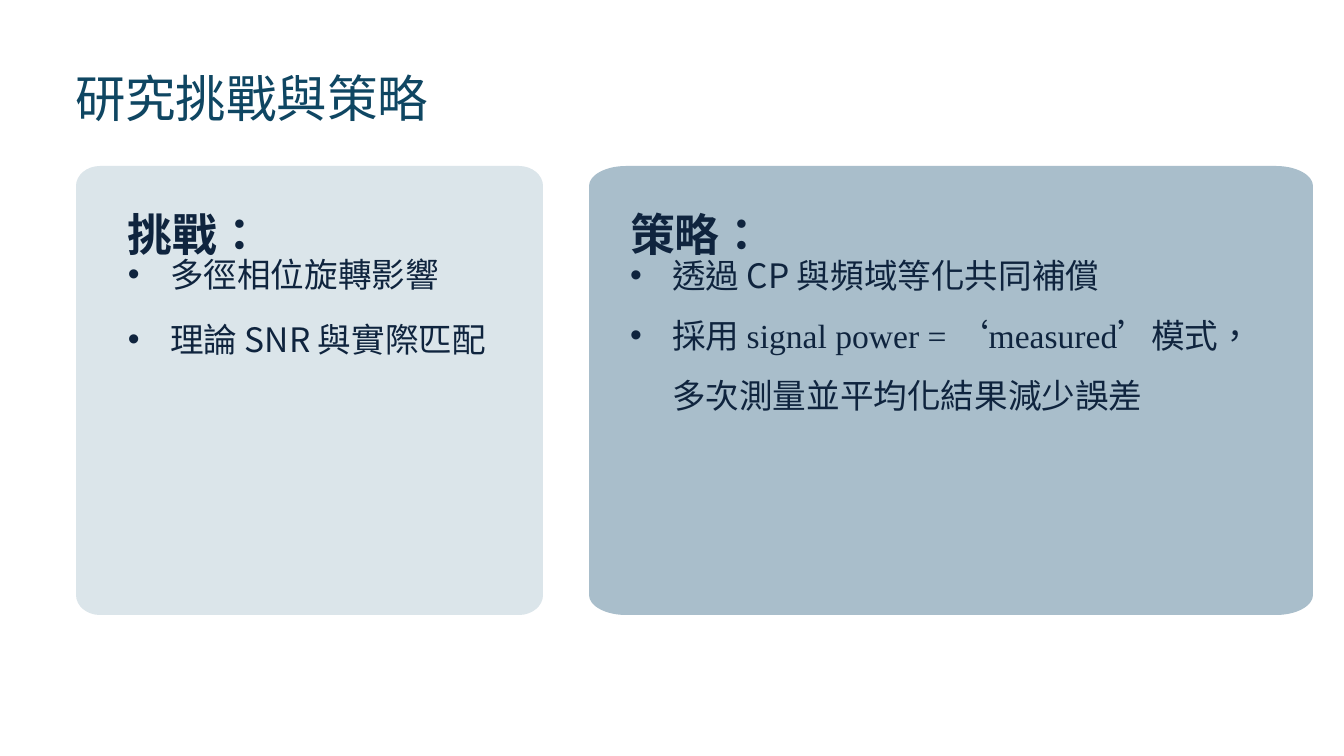
from lxml.etree import SubElement
from pptx import Presentation
from pptx.dml.color import RGBColor
from pptx.enum.text import MSO_ANCHOR, MSO_AUTO_SIZE, PP_ALIGN
from pptx.oxml.ns import qn
from pptx.util import Emu, Pt

PX_PER_INCH = 67.2
SANS, SERIF = "Noto Sans CJK SC", "Times New Roman"
NAVY, TEAL = "0F243E", "0F4662"
CARD_TOP, CARD_HEIGHT, CORNER_HEIGHT = 166, 449, 20
ARC = 0.55


def px(n):
    return Emu(round(n * 914400 / PX_PER_INCH))


def rgb(value):
    return RGBColor.from_string(value)


def round_corner(line, start, corner, end):
    """Turn a straight path segment into a curve around a corner."""
    line.tag = qn("a:cubicBezTo")
    controls = [tuple(a + ARC * (c - a) for a, c in zip(point, corner))
                for point in (start, end)]
    for i, (x, y) in enumerate(controls):
        pt = SubElement(line, qn("a:pt"))
        pt.set("x", str(px(x)))
        pt.set("y", str(px(y)))
        line.insert(i, pt)


def add_card(s, left, width, corner_width, fill):
    """Draw a card with elliptical corners."""
    height = CARD_HEIGHT
    x1, y1 = width - corner_width, height - CORNER_HEIGHT
    points = [(corner_width, 0), (x1, 0), (width, CORNER_HEIGHT), (width, y1),
              (x1, height), (corner_width, height), (0, y1),
              (0, CORNER_HEIGHT), (corner_width, 0)]
    corners = [(width, 0), (width, height), (0, height), (0, 0)]
    outline = [(px(x), px(y)) for x, y in points]
    builder = s.shapes.build_freeform(*outline[0])
    builder.add_line_segments(outline[1:], close=True)
    sp = builder.convert_to_shape(px(left), px(CARD_TOP))
    lines = list(sp.element.iter(qn("a:lnTo")))
    for i, corner in enumerate(corners):
        k = 2 * i + 1
        round_corner(lines[k], points[k], corner, points[k + 1])
    sp.shadow.inherit = False
    sp.fill.solid()
    sp.fill.fore_color.rgb = rgb(fill)
    sp.line.fill.background()
    return sp


def add_bullet(p, indent=42):
    pPr = p._p.get_or_add_pPr()
    pPr.set("marL", str(px(indent)))
    pPr.set("indent", str(-px(indent)))
    SubElement(pPr, qn("a:buFont")).set("typeface", "Arial")
    SubElement(pPr, qn("a:buChar")).set("char", "•")


def add_run(p, text, font, size, color, bold):
    r = p.add_run()
    r.text = text
    r.font.size, r.font.bold, r.font.name = Pt(size), bold, font
    r.font.color.rgb = rgb(color)
    rPr = r._r.get_or_add_rPr()
    rPr.set("lang", "zh-TW")
    SubElement(rPr, qn("a:ea")).set("typeface", SANS)


def set_text(sp, paragraphs, box, size=36, color=NAVY, bold=False,
             line=65, bullet=False):
    """Fill a placeholder; each paragraph is a list of (text, font) runs."""
    sp.left, sp.top, sp.width, sp.height = map(px, box)
    tf = sp.text_frame
    tf.word_wrap = True
    tf.auto_size = MSO_AUTO_SIZE.NONE
    tf.vertical_anchor = MSO_ANCHOR.TOP
    tf.margin_left = tf.margin_top = tf.margin_right = tf.margin_bottom = 0
    for i, runs in enumerate(paragraphs):
        p = tf.add_paragraph() if i else tf.paragraphs[0]
        p.alignment = PP_ALIGN.LEFT
        p.line_spacing = Pt(round(line * 72 / PX_PER_INCH, 1))
        p.space_before = p.space_after = Pt(0)
        if bullet:
            add_bullet(p)
        for text, font in runs:
            add_run(p, text, font, size, color, bold)


def main():
    prs = Presentation()
    prs.slide_width, prs.slide_height = px(1344), px(756)
    s = prs.slides.add_slide(prs.slide_layouts.get_by_name("Comparison"))
    title, left_head, left_list, right_head, right_list = s.placeholders

    cards = [add_card(s, 76, 467, 24, "DBE5EA"),
             add_card(s, 589, 724, 37, "A9BECB")]
    for i, card in enumerate(cards):
        s.shapes.element.insert(2 + i, card.element)

    set_text(title, [[("研究挑戰與策略", SANS)]], (75, 44, 818, 84),
             size=54, color=TEAL, line=84)

    set_text(left_head, [[("挑戰：", SANS)]], (128, 196, 408, 65),
             size=48, bold=True)
    set_text(left_list, [[("多徑相位旋轉影響", SANS)],
                         [("理論 SNR 與實際匹配", SANS)]],
             (128, 229, 408, 130), bullet=True)

    set_text(right_head, [[("策略：", SANS)]], (630, 196, 642, 65),
             size=48, bold=True)
    set_text(right_list, [[("透過 CP 與頻域等化共同補償", SANS)],
                          [("採用 ", SANS),
                           ("signal power = ‘measured’模式，多次", SERIF),
                           ("測量並平均化結果減少誤差", SANS)]],
             (630, 235, 642, 180), line=60, bullet=True)

    prs.save("out.pptx")


if __name__ == "__main__":
    main()
